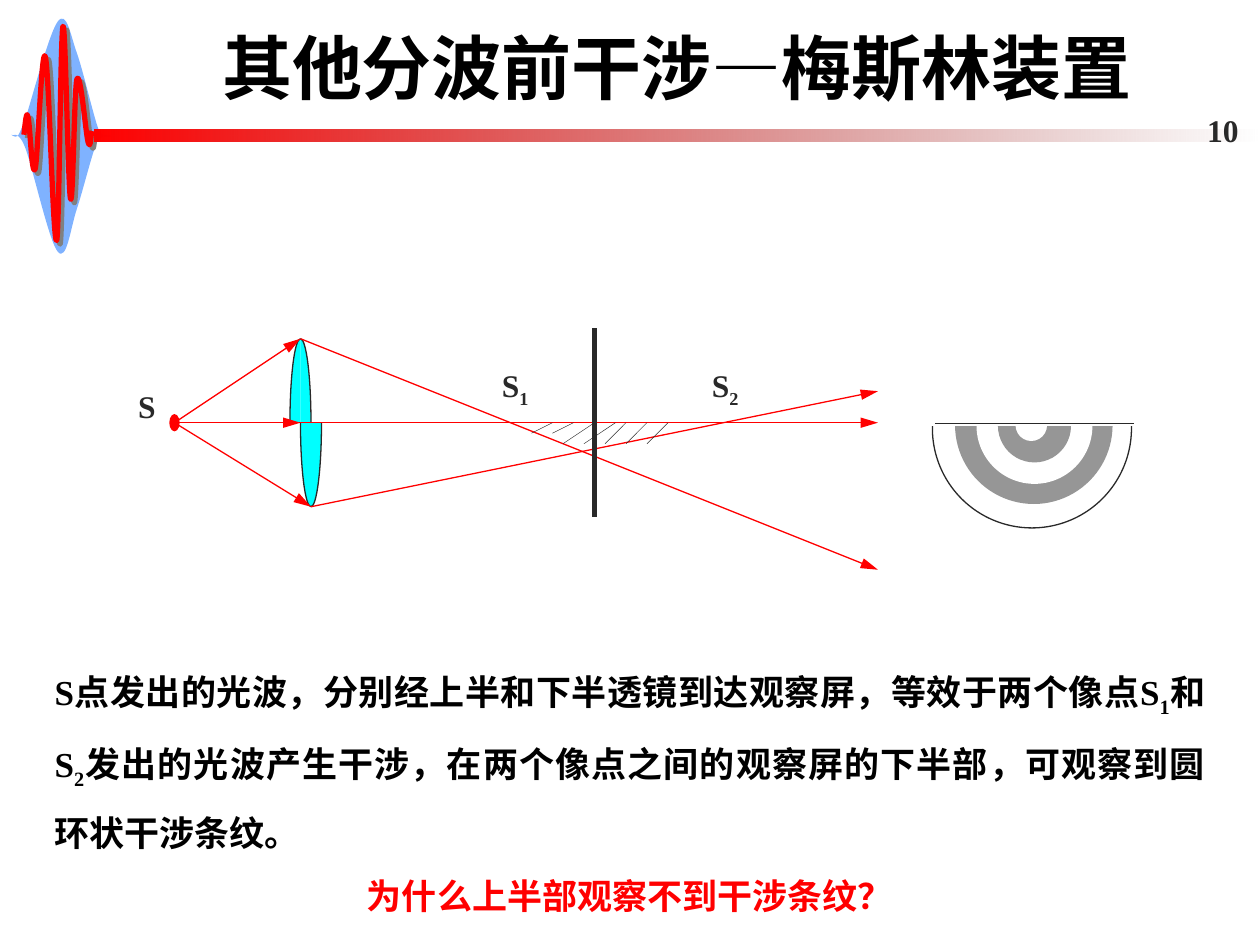
import pptx
import pptx.util
import pptx.dml.color
import pptx.enum.shapes
import pptx.enum.text
import pptx.oxml
import pptx.oxml.ns
import copy

Inches, Pt, qn = pptx.util.Inches, pptx.util.Pt, pptx.oxml.ns.qn
SHAPE = pptx.enum.shapes.MSO_SHAPE
ALIGN = pptx.enum.text.PP_ALIGN
ANCHOR = pptx.enum.text.MSO_ANCHOR
AUTO = pptx.enum.text.MSO_AUTO_SIZE
INK, RED, CYAN, GRAY, WHITE = "292929", "FF0000", "00FFFF", "969696", "FFFFFF"
LATIN, HAN = "Times New Roman", "Noto Sans CJK SC"
U = 1 / 12


def rgb(code):
    return pptx.dml.color.RGBColor.from_string(code)


def add_element(parent, tag, **attrs):
    el = pptx.oxml.parse_xml(f'<a:{tag} {pptx.oxml.ns.nsdecls("a")}/>')
    for name, value in attrs.items():
        el.set(name, str(value))
    parent.append(el)
    return el


def add_alpha(sp, index, percent):
    color = sp._element.spPr.findall(".//" + qn("a:srgbClr"))[index]
    add_element(color, "alpha", val=percent * 1000)


def paint(sp, fill=None, line=None, width=0.75):
    sp.shadow.inherit = False
    if fill:
        sp.fill.solid()
        sp.fill.fore_color.rgb = rgb(fill)
    else:
        sp.fill.background()
    if line:
        sp.line.color.rgb = rgb(line)
        sp.line.width = Pt(width)
    else:
        sp.line.fill.background()
    return sp


def add_shape(s, kind, x, y, w, h, **look):
    return paint(s.shapes.add_shape(kind, Inches(x), Inches(y), Inches(w), Inches(h)), **look)


def add_curve(s, x, y, start, curves, corners=(), close=False, **look):
    knots = [(c[i], c[i + 1]) for c in curves for i in (0, 2, 4)]
    pts = [(Inches(x + px), Inches(y + py)) for px, py in [start, *knots, *corners]]
    fb = s.shapes.build_freeform(*pts[0], scale=1.0)
    fb.add_line_segments(pts[1:], close=close)
    sp = paint(fb.convert_to_shape(), **look)
    outline = sp._element.spPr.find(".//" + qn("a:path"))
    segments = outline.findall(qn("a:lnTo"))[:len(knots)]
    for i in range(0, len(knots), 3):
        curve = add_element(outline, "cubicBezTo")
        outline.replace(segments[i], curve)
        curve.append(segments[i][0])
        for segment in segments[i + 1:i + 3]:
            curve.append(segment[0])
            outline.remove(segment)
    return sp


def add_line(s, x1, y1, x2, y2, color=INK, width=0.75, head=None, tail=None):
    c = s.shapes.add_connector(pptx.enum.shapes.MSO_CONNECTOR.STRAIGHT,
                               Inches(x1), Inches(y1), Inches(x2), Inches(y2))
    c.line.color.rgb = rgb(color)
    c.line.width = Pt(width)
    ln = c.line._get_or_add_ln()
    if head:
        add_element(ln, "headEnd", type=head, w="lg", len="med")
    if tail:
        add_element(ln, "tailEnd", type=tail, w="med", len="lg")
    add_element(c._element.spPr, "effectLst")
    c._element.remove(c._element.find(qn("p:style")))


def add_runs(p, text, size, color):
    p.font.size, p.font.bold, p.font.name = Pt(size), True, LATIN
    p.font.color.rgb = rgb(color)
    for i, part in enumerate(text.split("_")):
        for piece, sub in ((part[:1], True), (part[1:], False)) if i else ((part, False),):
            if piece:
                r = p.add_run()
                r.text = piece
                r_pr = r._r.get_or_add_rPr()
                if sub:
                    r_pr.set("baseline", "-25000")
                add_element(r_pr, "ea", typeface=HAN)


def add_text(s, x, y, w, h, text, wrap=False, size=18, color=INK, align=ALIGN.LEFT):
    tf = s.shapes.add_textbox(Inches(x), Inches(y), Inches(w), Inches(h)).text_frame
    tf.word_wrap = wrap
    tf.auto_size = AUTO.SHAPE_TO_FIT_TEXT
    p = tf.paragraphs[0]
    p.alignment = align
    add_runs(p, text, size, color)
    return tf


def pulse_emblem(s, x, y):
    envelope = [(0, .98, .04, 1.02, .06, 1), (.07, .98, .06, 1.02, .12, .87),
                (.17, .72, .31, .18, .38, .09), (.45, 0, .48, .2, .53, .34),
                (.58, .48, .66, .83, .7, .94), (.75, 1.05, .8, .98, .8, 1),
                (.8, 1.02, .74, .95, .69, 1.05), (.65, 1.14, .58, 1.43, .53, 1.58),
                (.48, 1.73, .45, 2, .38, 1.92), (.31, 1.84, .18, 1.25, .12, 1.09),
                (.06, .94, .02, 1.01, .01, .99)]
    wave = [(.12, .9, .13, .8, .14, .84), (.16, .89, .17, 1.34, .2, 1.26),
            (.22, 1.18, .25, .27, .28, .37), (.31, .46, .34, 1.87, .37, 1.83),
            (.39, 1.79, .4, .18, .42, .13), (.44, .07, .46, 1.43, .48, 1.5),
            (.5, 1.57, .51, .62, .53, .55), (.56, .47, .6, .98, .62, 1.05),
            (.64, 1.12, .64, .98, .65, .96)]
    sp = add_curve(s, x, y, (.01, .99), envelope, close=True, fill="0066FF")
    add_alpha(sp, 0, 50)
    sp = add_curve(s, x, y, (.11, .99), wave, line=RED, width=3)
    effects = sp._element.spPr.find(qn("a:effectLst"))
    shadow = add_element(effects, "outerShdw", dist=Pt(2.8), dir=45 * 60000, algn="ctr")
    add_element(shadow, "srgbClr", val="808080")


def header(s, x, y):
    pulse_emblem(s, x + 0.08, y + 0.08)
    sp = add_shape(s, SHAPE.RECTANGLE, x + 0.75, y + 1.03, 9.25, 0.09)
    sp.fill.gradient()
    sp.fill.gradient_angle = 0
    for stop, color, pos in zip(sp.fill.gradient_stops, (RED, "760000"), (0, 1)):
        stop.color.rgb = rgb(color)
        stop.position = pos
    add_alpha(sp, 1, 0)
    title = s.shapes.title
    title.left, title.top = Inches(x + 1.07), Inches(y + 0.12)
    title.width, title.height = Inches(8.6), Inches(0.79)
    tf = title.text_frame
    tf.auto_size, tf.vertical_anchor = AUTO.NONE, ANCHOR.BOTTOM
    tf.paragraphs[0].alignment = ALIGN.CENTER
    add_runs(tf.paragraphs[0], "其他分波前干涉—梅斯林装置", 40, "000000")
    tf = add_text(s, x + 9.06, y + 0.91, 0.87, 0.24, "10", wrap=True, align=ALIGN.RIGHT)
    tf.auto_size, tf.vertical_anchor = AUTO.NONE, ANCHOR.MIDDLE


def half_lens(s, x, y, direction):
    h, k = direction * 8 * U, 0.55
    for side in (-U, U):
        sp = add_curve(s, x, y, (0, h), [(k * side, h, side, k * h, side, 0)],
                       corners=[(0, 0)], close=True, fill=CYAN, line=INK)
        area = sp._element.spPr.find(".//" + qn("a:path"))
        rim = copy.deepcopy(area)
        for tag in ("a:lnTo", "a:close"):
            rim.remove(rim.find(qn(tag)))
        rim.set("fill", "none")
        area.set("stroke", "0")
        area.addprevious(rim)
    add_line(s, x - U, y, x + U, y)


def light_paths(s, x, y):
    def grid_line(x1, y1, x2, y2, **look):
        add_line(s, x + x1 * U, y + y1 * U, x + x2 * U, y + y2 * U, **look)

    half_lens(s, x + 12 * U, y, -1)
    half_lens(s, x + 13 * U, y, 1)
    rays = [(0, 0, 12, 0), (12, 0, 67, 0), (0, 0, 12, -8),
            (12, -8, 67, 14), (0, 0, 13, 8), (13, 8, 67, -3)]
    for i, ray in enumerate(rays):
        grid_line(*ray, color=RED, head=None if i else "oval", tail="triangle")
    hatches = [(34, 1, 36), (36, 1, 38), (37, 2, 40), (39, 2, 42),
               (41, 2, 43), (43, 2, 45), (45, 2, 47)]
    for x1, depth, x2 in hatches:
        grid_line(x1, depth, x2, 0, width=0.25)
    grid_line(40, -9, 40, 9, width=3)
    for text, dx, dy, w in (("S", -4.65, -4, 0.39), ("S_1", 30, -6, 0.5), ("S_2", 50, -6, 0.5)):
        add_text(s, x + dx * U, y + dy * U, w, 0.5, text)


def fringes(s, x, y):
    rings = [(-0.8, -0.75, 1.58, dict(line=INK)),
             (-0.62, -0.61, 1.25, dict(fill=GRAY)), (-0.45, -0.44, 0.92, dict(fill=WHITE)),
             (-0.28, -0.27, 0.58, dict(fill=GRAY)), (-0.14, -0.11, 0.25, dict(fill=WHITE))]
    for dx, dy, d, look in rings:
        add_shape(s, SHAPE.OVAL, x + dx, y + dy, d, d, **look)
    add_shape(s, SHAPE.RECTANGLE, x - 0.85, y - 0.79, 1.65, 0.81, fill=WHITE)
    add_line(s, x - 0.78, y, x + 0.8, y)


def explanation(s, x, y, w, h):
    tf = add_text(s, x, y, w, h,
                  "S点发出的光波，分别经上半和下半透镜到达观察屏，等效于两个像点S_1和S_2"
                  "发出的光波产生干涉，在两个像点之间的观察屏的下半部，可观察到圆环状干涉条纹。",
                  wrap=True, size=20, color="000000", align=ALIGN.JUSTIFY)
    p = tf.add_paragraph()
    p.alignment = ALIGN.CENTER
    add_runs(p, "为什么上半部观察不到干涉条纹？", 20, RED)
    for p in tf.paragraphs:
        p.line_spacing = 1.5


def main():
    prs = pptx.Presentation()
    prs.slide_width, prs.slide_height = Inches(10), Inches(7.5)
    s = prs.slides.add_slide(prs.slide_layouts[5])
    header(s, 0, 0)
    light_paths(s, 1.385, 3.355)
    fringes(s, 8.2, 3.36)
    explanation(s, 0.335, 5.085, 9.33, 2.06)
    prs.save("out.pptx")


if __name__ == "__main__":
    main()
